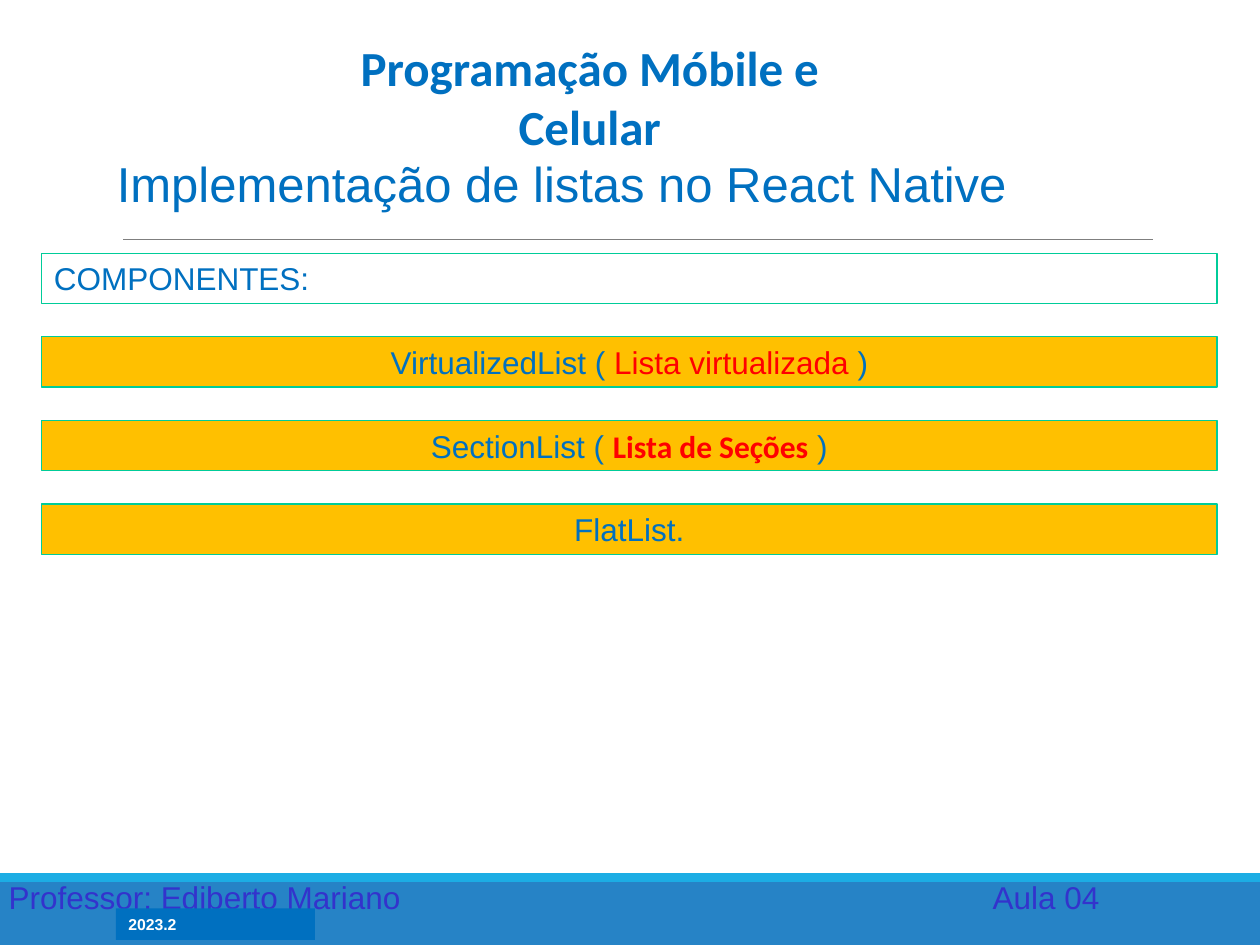
from dataclasses import dataclass

from lxml.etree import SubElement
from pptx import Presentation
from pptx.dml.color import RGBColor
from pptx.enum.shapes import MSO_CONNECTOR, MSO_SHAPE
from pptx.enum.text import MSO_ANCHOR, PP_ALIGN
from pptx.oxml import parse_xml
from pptx.oxml.ns import nsdecls, qn
from pptx.util import Inches, Pt


@dataclass(frozen=True)
class Theme:
    blue: str = "0070C0"
    red: str = "FF0000"
    amber: str = "FFC000"
    green: str = "00CC99"
    band: str = "2683C6"
    stripe: str = "1CADE4"
    rule: str = "7F7F7F"
    footer: str = "3333CC"
    white: str = "FFFFFF"
    body_font: str = "Arial"
    accent_font: str = "Calibri"
    title_size: int = 28
    body_size: int = 18
    small_size: int = 9


THEME = Theme()
COLUMNS, ROWS = 100, 75
CELL = Inches(0.1)


def color(value):
    return RGBColor.from_string(value)


def grid(*lengths):
    return [round(length * CELL) for length in lengths]


def style_font(font, size=None, name=None, ink=None, bold=None):
    if size:
        font.size = Pt(size)
    if name:
        font.name = name
    if ink:
        font.color.rgb = color(ink)
    if bold is not None:
        font.bold = bold


def write(box, spans, size, ink, name=THEME.body_font, bold=False, align=PP_ALIGN.LEFT):
    frame = box.text_frame
    frame.word_wrap = True
    frame.vertical_anchor = MSO_ANCHOR.TOP
    para = frame.paragraphs[0]
    para.alignment = align
    style_font(para.font, size, name, ink, bold)
    for text, changes in spans:
        span = para.add_run()
        span.text = text
        style_font(span.font, **changes)
    return para


def add_text(page, place, text, size, ink, **options):
    box = page.shapes.add_textbox(*grid(*place))
    return write(box, [(text, {})], size, ink, **options)


def add_box(page, place, fill=None, line=None):
    box = page.shapes.add_shape(MSO_SHAPE.RECTANGLE, *grid(*place))
    box.shadow.inherit = False
    if fill:
        box.fill.solid()
        box.fill.fore_color.rgb = color(fill)
    else:
        box.fill.background()
    if line:
        box.line.color.rgb = color(line)
        box.line.width = Pt(0.75)
    else:
        box.line.fill.background()
    return box


def add_rule(page, left, right, row):
    rule = page.shapes.add_connector(MSO_CONNECTOR.STRAIGHT, *grid(left, row, right, row))
    rule.line.color.rgb = color(THEME.rule)
    rule.line.width = Pt(0.5)
    SubElement(rule._element.spPr, qn("a:effectLst"))


def add_tab_stop(para, column):
    position = grid(column)[0]
    stops = parse_xml(
        f'<a:tabLst {nsdecls("a")}><a:tab pos="{position}" algn="l"/></a:tabLst>'
    )
    para._p.get_or_add_pPr().insert(0, stops)


def add_footer(page):
    top = 69.3
    add_box(page, (0, top, COLUMNS, ROWS - top), THEME.band)
    add_box(page, (0, top, COLUMNS, 0.7), THEME.stripe)
    para = add_text(page, (-0.3, 69.2, 90, 4), "Professor: Ediberto Mariano\tAula 04",
                    THEME.body_size, THEME.footer)
    add_tab_stop(para, 78.1)
    term = add_box(page, (9.2, 72.1, 15.8, 2.5), THEME.blue)
    write(term, [("2023.2", {})], THEME.small_size, THEME.white, bold=True)


def add_heading(page):
    add_text(page, (21.7, 2.5, 50.2, 5.7), "Programação Móbile e Celular",
             THEME.title_size, THEME.blue, name=THEME.accent_font, bold=True,
             align=PP_ALIGN.CENTER)
    add_text(page, (8.3, 11.7, 74.6, 5.7), "Implementação de listas no React Native",
             THEME.title_size, THEME.blue)
    add_rule(page, 9.8, 91.5, 19)


def add_components(page):
    red = {"ink": THEME.red}
    strong = {"ink": THEME.red, "name": THEME.accent_font, "bold": True}
    entries = [
        [("COMPONENTES:", {})],
        [("VirtualizedList ( ", {}), ("Lista virtualizada ", red), (")", {})],
        [("SectionList ( ", {}), ("Lista de Seções", strong), (" )", {})],
        [("FlatList.", {})],
    ]
    first, last = 20.1, 40
    pitch = (last - first) / (len(entries) - 1)
    for index, spans in enumerate(entries):
        fill = THEME.amber if index else None
        align = PP_ALIGN.CENTER if index else PP_ALIGN.LEFT
        box = add_box(page, (3.3, first + index * pitch, 93.3, 4), fill, THEME.green)
        write(box, spans, THEME.body_size, THEME.blue, align=align)


def main():
    deck = Presentation()
    deck.slide_width, deck.slide_height = grid(COLUMNS, ROWS)
    page = deck.slides.add_slide(deck.slide_layouts[6])
    add_footer(page)
    add_heading(page)
    add_components(page)
    deck.save("out.pptx")


main()
